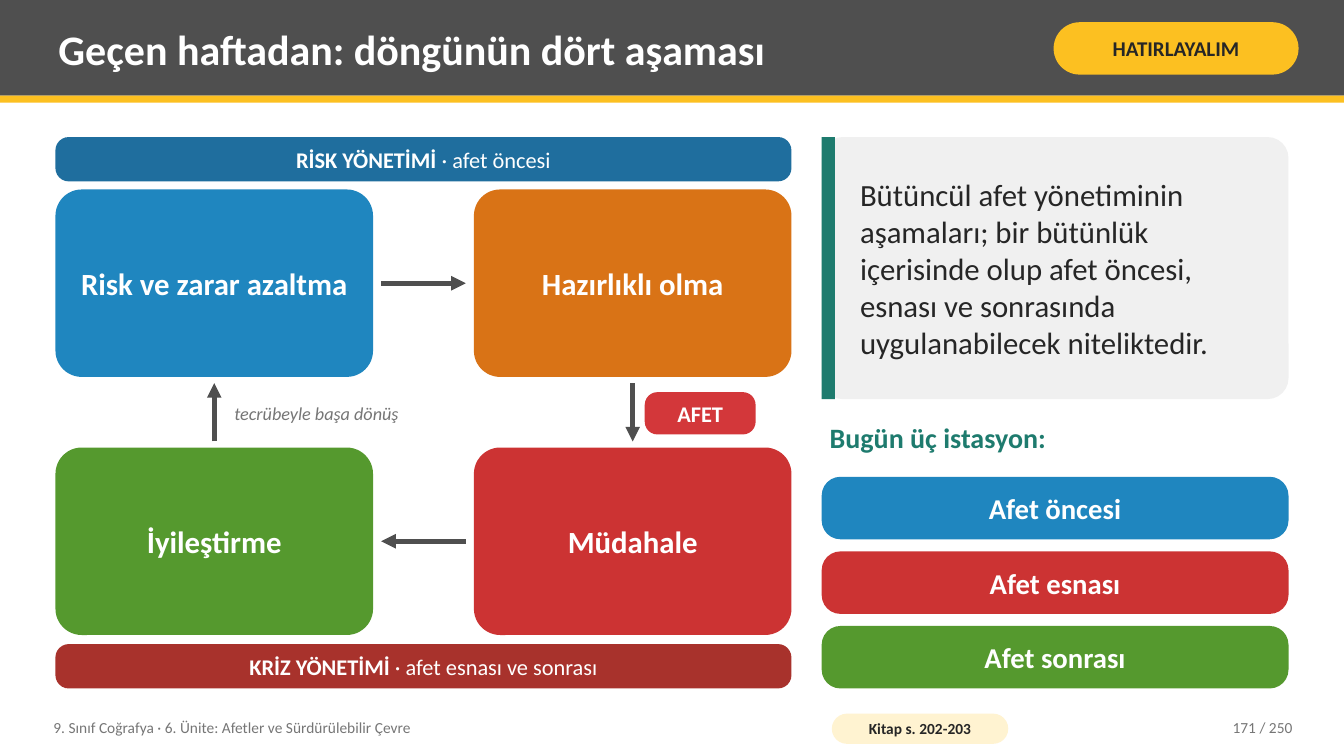
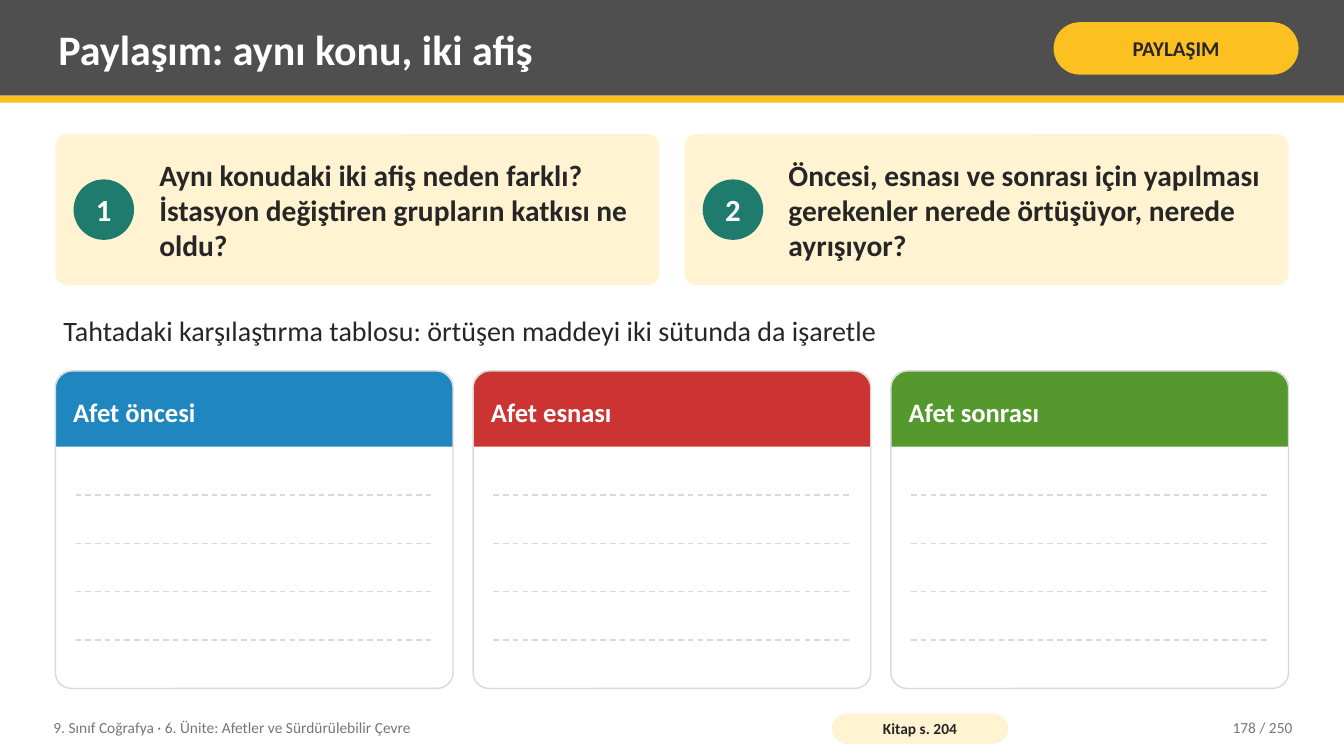
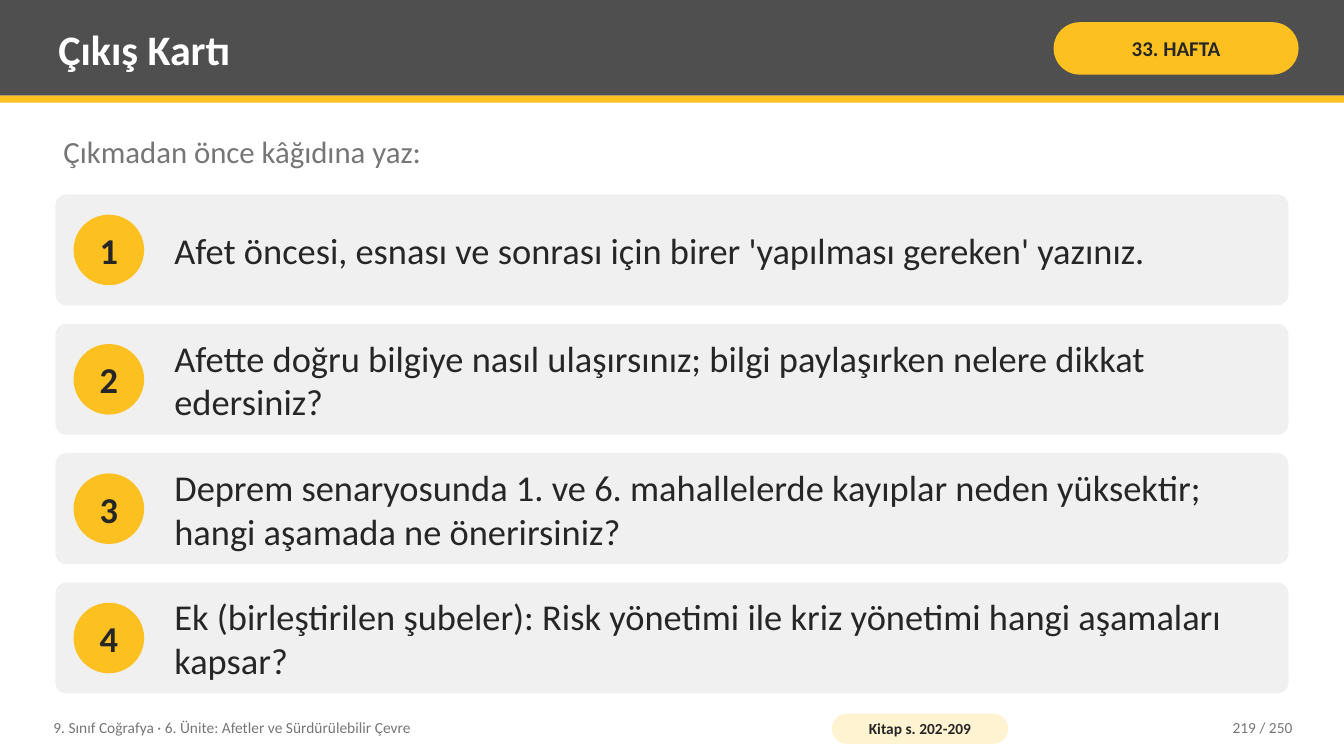
from typing import NamedTuple

from lxml.etree import SubElement
from pptx import Presentation
from pptx.dml.color import RGBColor
from pptx.enum.dml import MSO_LINE
from pptx.enum.shapes import MSO_CONNECTOR, MSO_SHAPE
from pptx.enum.text import MSO_ANCHOR, MSO_AUTO_SIZE, PP_ALIGN
from pptx.oxml.ns import qn
from pptx.util import Inches, Pt

FONT = "Calibri"
WHITE, INK, MUTED, CHARCOAL = "FFFFFF", "262626", "767676", "4F4F4F"
YELLOW, CREAM, TEAL, PALE, RULE = "FCC021", "FFF3D1", "1E7B6E", "F0F0F0", "D9D9D9"
BLUE, ORANGE, RED, GREEN = "1F86BF", "D97316", "CC3333", "55992E"
NAVY, BRICK, ALERT = "1F6E9E", "A8322C", "D3373A"
RECT, ROUND, OVAL = MSO_SHAPE.RECTANGLE, MSO_SHAPE.ROUNDED_RECTANGLE, MSO_SHAPE.OVAL
LEFT, CENTER, RIGHT = PP_ALIGN.LEFT, PP_ALIGN.CENTER, PP_ALIGN.RIGHT
TEXT_INSETS = (0.08, 0.04)
SLIDE_WIDTH, SLIDE_HEIGHT = 13.33, 7.5
MARGIN, CONTENT_WIDTH = 0.55, 12.23
STATIONS = [("Afet öncesi", BLUE), ("Afet esnası", RED), ("Afet sonrası", GREEN)]


class Box(NamedTuple):
    """Left, top, width and height in inches."""

    left: float
    top: float
    width: float
    height: float

    def inches(self):
        """Return the four measures as lengths."""
        return [Inches(value) for value in self]


class CardStyle(NamedTuple):
    """Look of a card with a numbered disc."""

    fill: str
    corner: float
    disc_fill: str
    disc_color: str
    disc_size: float
    number_size: float
    text_size: float
    bold: bool
    text_gap: float
    right_gap: float


QUESTION_CARD = CardStyle(CREAM, 0.08, TEAL, WHITE, 0.6, 22, 21, True, 0.17, 0.15)
EXIT_CARD = CardStyle(PALE, 0.1, YELLOW, INK, 0.7, 26, 26, False, 0.22, 0.2)


def rgb(color):
    """Turn a hex string into a colour."""
    return RGBColor.from_string(color)


def write(shape, text, size, color, bold=False, italic=False, align=CENTER,
          anchor=MSO_ANCHOR.MIDDLE, insets=TEXT_INSETS, tail=""):
    """Put one formatted paragraph in a shape, with an optional regular tail."""
    frame = shape.text_frame
    frame.text = text
    frame.word_wrap = True
    frame.auto_size = MSO_AUTO_SIZE.NONE
    frame.vertical_anchor = anchor
    frame.margin_left = frame.margin_right = Inches(insets[0])
    frame.margin_top = frame.margin_bottom = Inches(insets[1])
    paragraph = frame.paragraphs[0]
    paragraph.alignment = align
    if tail:
        paragraph.add_run().text = tail
    for index, run in enumerate(paragraph.runs):
        run.font.name = FONT
        run.font.size = Pt(size)
        run.font.color.rgb = rgb(color)
        run.font.bold = bold and index == 0
        run.font.italic = italic


def add_block(slide, box, fill=None, kind=ROUND, corner=None, outline=None):
    """Add a preset shape with a flat fill or a thin outline."""
    shape = slide.shapes.add_shape(kind, *box.inches())
    shape.shadow.inherit = False
    if corner is not None:
        shape.adjustments[0] = corner
    if fill:
        shape.fill.solid()
        shape.fill.fore_color.rgb = rgb(fill)
    else:
        shape.fill.background()
    if outline:
        shape.line.color.rgb = rgb(outline)
        shape.line.width = Pt(1)
    else:
        shape.line.fill.background()
    return shape


def add_text(slide, box, text, size, color, align=LEFT, **options):
    """Add a text box."""
    write(slide.shapes.add_textbox(*box.inches()), text, size, color, align=align, **options)


def add_line(slide, start, end, color, width, dashed=False, arrow=False):
    """Add a straight line, dashed or with an arrowhead if wanted."""
    points = [Inches(value) for value in (*start, *end)]
    connector = slide.shapes.add_connector(MSO_CONNECTOR.STRAIGHT, *points)
    connector.line.color.rgb = rgb(color)
    connector.line.width = Pt(width)
    if dashed:
        connector.line.dash_style = MSO_LINE.DASH
    properties = connector._element.spPr
    if arrow:
        SubElement(properties.find(qn("a:ln")), qn("a:tailEnd")).set("type", "triangle")
    SubElement(properties, qn("a:effectLst"))


def add_header(slide, title_text, tag):
    """Add the title band, its yellow edge and the tag pill."""
    title = slide.shapes.title
    for top, height, fill in [(0, 0.95, CHARCOAL), (0.95, 0.07, YELLOW)]:
        band = add_block(slide, Box(0, top, SLIDE_WIDTH, height), fill, RECT)
        title._element.addprevious(band._element)
    title.left, title.top, title.width, title.height = Box(0.5, 0.07, 9.75, 0.82).inches()
    write(title, title_text, 30, WHITE, bold=True, align=LEFT)
    pill = add_block(slide, Box(10.45, 0.22, 2.43, 0.52), YELLOW, corner=0.5)
    write(pill, tag, 15, INK, bold=True, insets=(0.05, 0.02))


def add_footer(slide, pages, number):
    """Add the course name, the book pages and the slide count."""
    add_text(slide, Box(0.45, 7.04, 7.6, 0.36),
             "9. Sınıf Coğrafya · 6. Ünite: Afetler ve Sürdürülebilir Çevre", 11, MUTED)
    pill = add_block(slide, Box(8.25, 7.08, 1.75, 0.3), CREAM, corner=0.5)
    write(pill, f"Kitap s. {pages}", 11, INK, bold=True, insets=(0.04, 0))
    add_text(slide, Box(11.3, 7.04, 1.6, 0.36), f"{number} / 250", 11, MUTED, align=RIGHT)


def add_framed_slide(presentation, title, tag, pages, number):
    """Add a slide with the shared header and footer."""
    slide = presentation.slides.add_slide(presentation.slide_layouts[5])
    add_header(slide, title, tag)
    add_footer(slide, pages, number)
    return slide


def add_cycle(slide, box):
    """Draw the four stages, their arrows and the two management bands."""
    band_height, band_gap = 0.44, 0.08
    stage_width, stage_height = 3.15, 1.86
    left, right = box.left, box.left + box.width - stage_width
    upper = box.top + band_height + band_gap
    lower = upper + stage_height + 0.7
    for x, y, name, fill in [
        (left, upper, "Risk ve zarar azaltma", BLUE),
        (right, upper, "Hazırlıklı olma", ORANGE),
        (right, lower, "Müdahale", RED),
        (left, lower, "İyileştirme", GREEN),
    ]:
        stage = add_block(slide, Box(x, y, stage_width, stage_height), fill, corner=0.14)
        write(stage, name, 22, WHITE, bold=True, insets=(0.08, 0.08))

    arrow_left, arrow_right = left + stage_width + 0.08, right - 0.08
    arrow_top, arrow_bottom = upper + stage_height + 0.06, lower - 0.06
    left_middle, right_middle = left + stage_width / 2, right + stage_width / 2
    upper_middle, lower_middle = upper + stage_height / 2, lower + stage_height / 2
    for start, end in [
        ((arrow_left, upper_middle), (arrow_right, upper_middle)),
        ((right_middle, arrow_top), (right_middle, arrow_bottom)),
        ((arrow_right, lower_middle), (arrow_left, lower_middle)),
        ((left_middle, arrow_bottom), (left_middle, arrow_top)),
    ]:
        add_line(slide, start, end, CHARCOAL, 3.5, arrow=True)

    label_top = upper + stage_height + 0.15
    event = add_block(slide, Box(right_middle + 0.12, label_top, 1.1, 0.42), ALERT, corner=0.3)
    write(event, "AFET", 16, WHITE, bold=True, insets=(0.04, 0))
    add_text(slide, Box(left_middle + 0.12, label_top, 1.9, 0.42),
             "tecrübeyle başa dönüş", 13, MUTED, italic=True)

    for top, name, period, fill in [
        (box.top, "RİSK YÖNETİMİ", " · afet öncesi", NAVY),
        (box.top + box.height - band_height, "KRİZ YÖNETİMİ", " · afet esnası ve sonrası", BRICK),
    ]:
        band = add_block(slide, Box(left, top, box.width, band_height), fill, corner=0.3)
        write(band, name, 16, WHITE, bold=True, insets=(0.06, 0), tail=period)


def add_quote(slide, box, text):
    """Draw a pale panel with a teal edge and its text."""
    add_block(slide, box, PALE, corner=0.08)
    add_block(slide, box._replace(width=0.13), TEAL, RECT)
    add_text(slide, box._replace(left=box.left + 0.3, width=box.width - 0.45), text, 22, INK)


def add_stations(slide, box):
    """Draw the heading and the stack of station bars."""
    add_text(slide, box._replace(height=0.5), "Bugün üç istasyon:", 20, TEAL,
             bold=True, anchor=MSO_ANCHOR.TOP)
    for index, (name, fill) in enumerate(STATIONS):
        bar = add_block(slide, Box(box.left, box.top + 0.6 + index * 0.74, box.width, 0.62),
                        fill, corner=0.3)
        write(bar, name, 20.5, WHITE, bold=True, insets=(0.14, 0.08))


def add_numbered_card(slide, box, number, text, style):
    """Draw a card with a numbered disc and its text."""
    add_block(slide, box, style.fill, corner=style.corner)
    size = style.disc_size
    disc_box = Box(box.left + 0.18, box.top + (box.height - size) / 2, size, size)
    disc = add_block(slide, disc_box, style.disc_fill, OVAL)
    write(disc, str(number), style.number_size, style.disc_color, bold=True, insets=(0, 0))
    text_left = disc_box.left + size + style.text_gap
    text_width = box.left + box.width - style.right_gap - text_left
    add_text(slide, box._replace(left=text_left, width=text_width), text,
             style.text_size, INK, bold=style.bold)


def add_writing_column(slide, box, name, fill):
    """Draw a headed column with four dashed writing lines."""
    header_height, line_count = 0.75, 4
    header = add_block(slide, box._replace(height=header_height), fill,
                       MSO_SHAPE.ROUND_2_SAME_RECTANGLE, 0.25)
    write(header, name, 19, WHITE, bold=True, align=LEFT, insets=(0.12, 0.04))
    add_block(slide, box, corner=0.05, outline=RULE)
    step = (box.height - header_height) / (line_count + 1)
    for index in range(line_count):
        y = box.top + header_height + (index + 1) * step
        add_line(slide, (box.left + 0.2, y), (box.left + box.width - 0.2, y),
                 RULE, 1, dashed=True)


def build_recall(presentation):
    """Build the slide that recalls the disaster cycle."""
    slide = add_framed_slide(presentation, "Geçen haftadan: döngünün dört aşaması",
                             "HATIRLAYALIM", "202-203", 171)
    add_cycle(slide, Box(MARGIN, 1.36, 7.3, 5.47))
    add_quote(slide, Box(8.15, 1.36, 4.63, 2.6),
              "Bütüncül afet yönetiminin aşamaları; bir bütünlük içerisinde olup afet öncesi, "
              "esnası ve sonrasında uygulanabilecek niteliktedir.")
    add_stations(slide, Box(8.15, 4.13, 4.63, 2.7))


def build_sharing(presentation):
    """Build the slide with two questions and the comparison columns."""
    slide = add_framed_slide(presentation, "Paylaşım: aynı konu, iki afiş",
                             "PAYLAŞIM", "204", 178)
    questions = [
        "Aynı konudaki iki afiş neden farklı? İstasyon değiştiren grupların katkısı ne oldu?",
        "Öncesi, esnası ve sonrası için yapılması gerekenler nerede örtüşüyor, nerede ayrışıyor?",
    ]
    gap = 0.25
    width = (CONTENT_WIDTH - gap) / 2
    for index, question in enumerate(questions):
        box = Box(MARGIN + index * (width + gap), 1.33, width, 1.5)
        add_numbered_card(slide, box, index + 1, question, QUESTION_CARD)
    add_text(slide, Box(MARGIN, 2.98, CONTENT_WIDTH, 0.6),
             "Tahtadaki karşılaştırma tablosu: örtüşen maddeyi iki sütunda da işaretle", 20, INK)
    gap = 0.2
    width = (CONTENT_WIDTH - 2 * gap) / 3
    for index, (name, fill) in enumerate(STATIONS):
        box = Box(MARGIN + index * (width + gap), 3.68, width, 3.15)
        add_writing_column(slide, box, name, fill)


def build_exit_card(presentation):
    """Build the slide with the four exit questions."""
    slide = add_framed_slide(presentation, "Çıkış Kartı", "33. HAFTA", "202-209", 219)
    add_text(slide, Box(MARGIN, 1.28, CONTENT_WIDTH, 0.55), "Çıkmadan önce kâğıdına yaz:",
             22, MUTED, anchor=MSO_ANCHOR.TOP)
    questions = [
        "Afet öncesi, esnası ve sonrası için birer 'yapılması gereken' yazınız.",
        "Afette doğru bilgiye nasıl ulaşırsınız; bilgi paylaşırken nelere dikkat edersiniz?",
        "Deprem senaryosunda 1. ve 6. mahallelerde kayıplar neden yüksektir; "
        "hangi aşamada ne önerirsiniz?",
        "Ek (birleştirilen şubeler): Risk yönetimi ile kriz yönetimi hangi aşamaları kapsar?",
    ]
    area_top, area_height, height = 1.93, 4.95, 1.1
    step = (area_height - height) / (len(questions) - 1)
    for index, question in enumerate(questions):
        box = Box(MARGIN, area_top + index * step, CONTENT_WIDTH, height)
        add_numbered_card(slide, box, index + 1, question, EXIT_CARD)


def main():
    """Build and save the presentation."""
    presentation = Presentation()
    presentation.slide_width = Inches(SLIDE_WIDTH)
    presentation.slide_height = Inches(SLIDE_HEIGHT)
    build_recall(presentation)
    build_sharing(presentation)
    build_exit_card(presentation)
    presentation.save("out.pptx")


if __name__ == "__main__":
    main()
